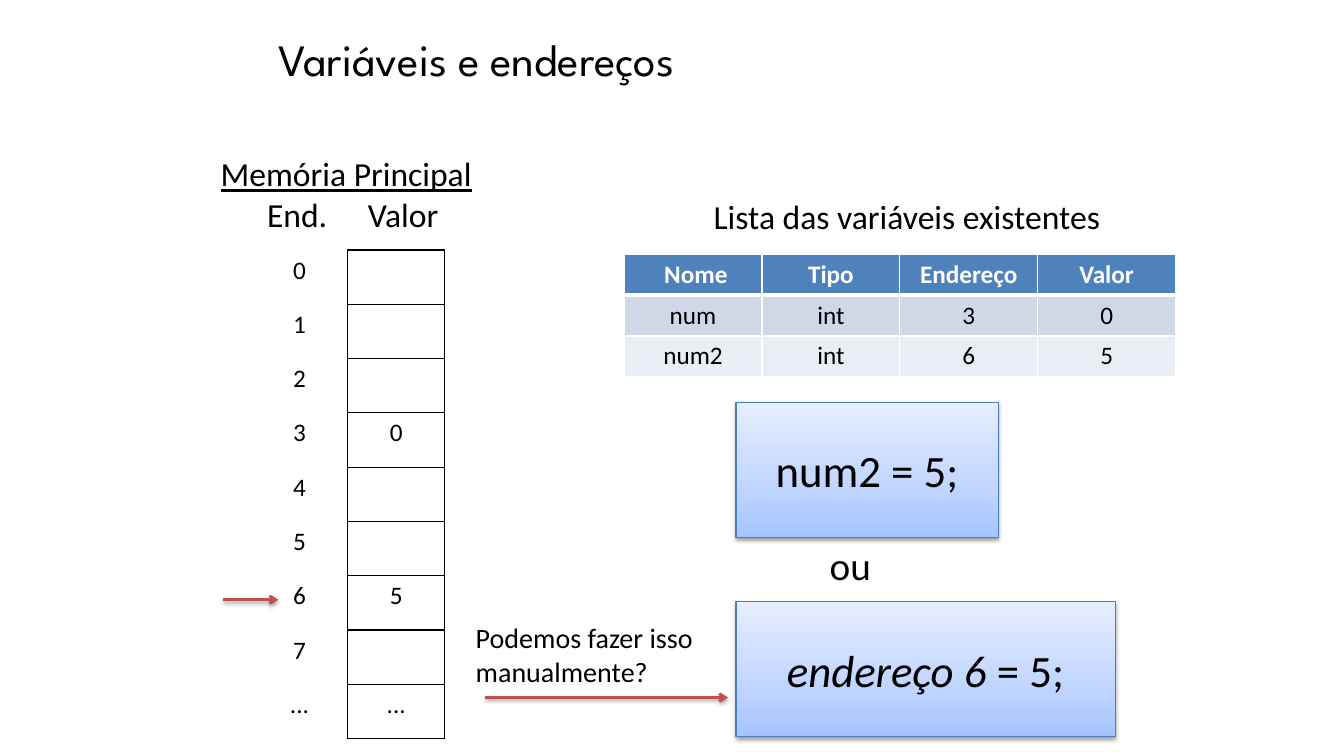
from dataclasses import dataclass

from lxml.etree import SubElement
from pptx import Presentation
from pptx.dml.color import RGBColor
from pptx.enum.shapes import MSO_CONNECTOR, MSO_SHAPE
from pptx.enum.text import MSO_ANCHOR, MSO_AUTO_SIZE, PP_ALIGN
from pptx.oxml import parse_xml
from pptx.oxml.ns import nsdecls, qn
from pptx.util import Inches, Pt

COLORS = {
    "text": "000000", "white": "FFFFFF", "header": "4F81BD",
    "band": "D0D8E8", "light_band": "E9EDF4",
    "arrow": "C0504D", "box_line": "4B7EBC",
}
BOX_GRADIENT = [(0, "A4C4FF"), (35, "BFD4FF"), (100, "E6EEFF")]
SIDES = "LRTB"


@dataclass
class Label:
    text: str
    left: float
    top: float
    width: float
    height: float
    size: int
    wrap: bool = False


@dataclass
class Statement:
    terms: list[tuple[str, bool]]  # text, italic
    top: float
    width: float


@dataclass
class Arrow:
    start: float
    end: float
    y: float


LABELS = [
    Label("Lista das variáveis existentes", 6.98, 1.89, 4.07, 0.5, 24),
    Label("ou", 8.13, 5.32, 0.62, 0.57, 28),
    Label("Podemos fazer isso manualmente?", 4.62, 6.11, 2.68, 0.77, 20, wrap=True),
]
STATEMENTS = [
    Statement([("endereço 6", True), (" = 5;", False)], 5.97, 3.76),
    Statement([("num2 = 5;", False)], 3.99, 2.6),
]
ARROWS = [Arrow(2.21, 2.76, 5.95), Arrow(4.81, 7.22, 6.92)]
ADDRESSES = [*map(str, range(8)), "..."]
STORED = {"3": "0", "6": "5", "...": "..."}
VARIABLES = [
    [" Nome", "Tipo", "Endereço", "Valor"],
    ["num", "int", "3", "0"],
    ["num2", "int", "6", "5"],
]


def rgb(name: str) -> RGBColor:
    return RGBColor.from_string(COLORS[name])


def add_text(paragraph, text: str, *, size: int = 18, color: str = "text",
             font: str = "Calibri", align=None, bold: bool = False,
             italic: bool = False, underline: bool = False):
    if align is not None:
        paragraph.alignment = align
    run = paragraph.add_run()
    run.text = text
    run.font.name, run.font.size = font, Pt(size)
    run.font.bold, run.font.italic, run.font.underline = bold, italic, underline
    run.font.color.rgb = rgb(color)
    return run


def shadow_effect(blur: float, distance: float, angle: int, alpha: int):
    """Build an effect list; blur and distance are in points."""
    return parse_xml(
        f'<a:effectLst {nsdecls("a")}><a:outerShdw blurRad="{Pt(blur)}" '
        f'dist="{Pt(distance)}" dir="{angle * 60000}" algn="tl" rotWithShape="0">'
        f'<a:srgbClr val="{COLORS["text"]}"><a:alpha val="{alpha * 1000}"/></a:srgbClr>'
        '</a:outerShdw></a:effectLst>')


def add_drop_shadow(shape) -> None:
    properties = shape._element.spPr
    for effects in properties.findall(qn("a:effectLst")):
        properties.remove(effects)
    properties.append(shadow_effect(3.1, 1.6, 90, 38))


def add_box(slide, left: float, top: float, width: float, height: float, wrap: bool):
    frame = slide.shapes.add_textbox(
        Inches(left), Inches(top), Inches(width), Inches(height)).text_frame
    frame.word_wrap = wrap
    frame.auto_size = MSO_AUTO_SIZE.SHAPE_TO_FIT_TEXT
    return frame


def add_title(slide) -> None:
    title = slide.shapes.title
    title.left, title.top = Inches(0), Inches(0.16)
    title.width, title.height = Inches(9.56), Inches(0.84)
    title.text_frame.vertical_anchor = MSO_ANCHOR.MIDDLE
    run = add_text(title.text_frame.paragraphs[0], "Variáveis e endereços ",
                   size=32, font="League Spartan", align=PP_ALIGN.CENTER)
    run.font._element.find(qn("a:solidFill")).addnext(shadow_effect(3, 3, 45, 43))


def add_memory_heading(slide) -> None:
    frame = add_box(slide, 2.09, 1.47, 2.71, 0.91, wrap=False)
    add_text(frame.paragraphs[0], "Memória Principal", size=24, underline=True)
    columns = frame.add_paragraph()
    properties = columns._p.get_or_add_pPr()
    properties.set("marL", str(Inches(0.46)))
    properties.set("indent", "0")
    tabs = SubElement(properties, qn("a:tabLst"))
    SubElement(tabs, qn("a:tab"), pos=str(Inches(1.36)), algn="l")
    add_text(columns, "End.\tValor", size=24)


def set_borders(cell, sides: str, color: str, widths: dict[str, float]) -> None:
    properties = cell._tc.get_or_add_tcPr()
    for side in SIDES:
        if side in sides:
            properties.append(parse_xml(
                f'<a:ln{side} {nsdecls("a")} w="{Pt(widths.get(side, 1))}"><a:solidFill>'
                f'<a:srgbClr val="{COLORS[color]}"/></a:solidFill></a:ln{side}>'))


def add_grid(slide, left: float, top: float, rows: int, columns: int,
             width: float, height: float):
    table = slide.shapes.add_table(rows, columns, Inches(left), Inches(top),
                                   Inches(width), Inches(height)).table
    table.first_row = table.horz_banding = False
    return table


def add_memory_table(slide) -> None:
    table = add_grid(slide, 2.49, 2.48, len(ADDRESSES), 2, 1.92, 4.85)
    for row, address in enumerate(ADDRESSES):
        for column, text in enumerate([address, STORED.get(address, "")]):
            cell = table.cell(row, column)
            set_borders(cell, SIDES if column else "R", "text", {})
            cell.fill.background()
            if text:
                add_text(cell.text_frame.paragraphs[0], text, align=PP_ALIGN.CENTER)


def add_variable_table(slide) -> None:
    table = add_grid(slide, 6.19, 2.52, len(VARIABLES), len(VARIABLES[0]), 5.47, 1.22)
    for row, (values, fill) in enumerate(zip(VARIABLES, ["header", "band", "light_band"])):
        header = row == 0
        for column, text in enumerate(values):
            cell = table.cell(row, column)
            set_borders(cell, SIDES, "white", {"B": 3} if header else {"T": 3} if row == 1 else {})
            cell.fill.solid()
            cell.fill.fore_color.rgb = rgb(fill)
            add_text(cell.text_frame.paragraphs[0], text, bold=header,
                     color="white" if header else "text", align=PP_ALIGN.CENTER)


def add_statement(slide, statement: Statement) -> None:
    box = slide.shapes.add_shape(MSO_SHAPE.RECTANGLE, Inches(7.3), Inches(statement.top),
                                 Inches(statement.width), Inches(1.34))
    box.fill.gradient()
    box.fill.gradient_angle = 90
    stops = box._element.spPr.find(qn("a:gradFill")).find(qn("a:gsLst"))
    for stop in list(stops):
        stops.remove(stop)
    for position, color in BOX_GRADIENT:
        stop = SubElement(stops, qn("a:gs"), pos=str(position * 1000))
        SubElement(stop, qn("a:srgbClr"), val=color)
    box.line.color.rgb = rgb("box_line")
    box.line.width = Pt(0.75)
    add_drop_shadow(box)
    box.text_frame.vertical_anchor = MSO_ANCHOR.MIDDLE
    for text, italic in statement.terms:
        add_text(box.text_frame.paragraphs[0], text, size=32, italic=italic,
                 align=PP_ALIGN.CENTER)


def add_arrow(slide, arrow: Arrow) -> None:
    line = slide.shapes.add_connector(MSO_CONNECTOR.STRAIGHT, Inches(arrow.start),
                                      Inches(arrow.y), Inches(arrow.end), Inches(arrow.y))
    line.line.color.rgb = rgb("arrow")
    line.line.width = Pt(2)
    SubElement(line.line._get_or_add_ln(), qn("a:tailEnd"), type="arrow")
    add_drop_shadow(line)


def main() -> None:
    deck = Presentation()
    deck.slide_width, deck.slide_height = Inches(13.33), Inches(7.5)
    slide = deck.slides.add_slide(deck.slide_layouts[5])
    add_title(slide)
    add_memory_heading(slide)
    add_memory_table(slide)
    add_variable_table(slide)
    for statement in STATEMENTS:
        add_statement(slide, statement)
    for label in LABELS:
        frame = add_box(slide, label.left, label.top, label.width, label.height, label.wrap)
        add_text(frame.paragraphs[0], label.text, size=label.size)
    for arrow in ARROWS:
        add_arrow(slide, arrow)
    deck.save("out.pptx")


if __name__ == "__main__":
    main()
